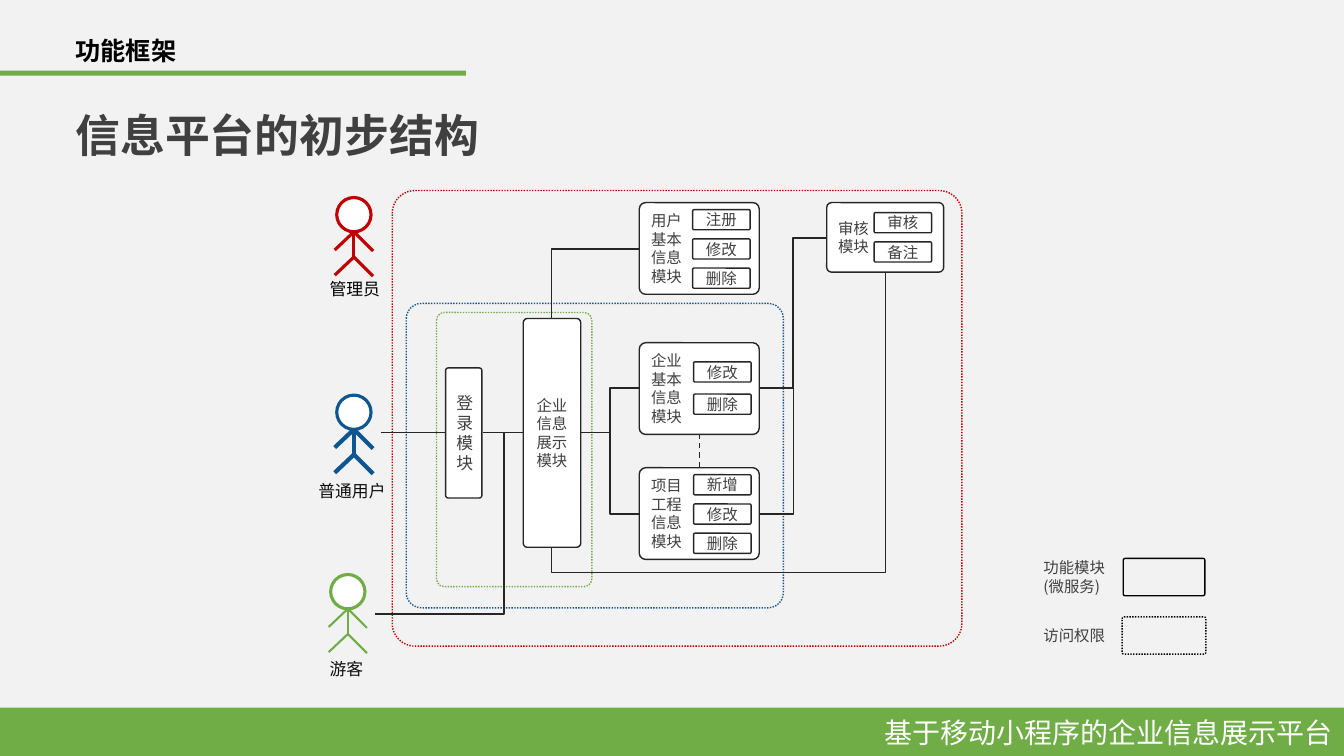
from dataclasses import dataclass

from lxml.etree import SubElement
from pptx import Presentation
from pptx.dml.color import RGBColor
from pptx.enum.dml import MSO_LINE_DASH_STYLE as Dash
from pptx.enum.shapes import MSO_CONNECTOR as Connector, MSO_SHAPE as Shape
from pptx.enum.text import MSO_ANCHOR as Anchor, PP_ALIGN as Align
from pptx.oxml.ns import qn
from pptx.util import Pt


@dataclass(frozen=True)
class Theme:
    font: str = "Noto Sans CJK SC"
    background: str = "F2F2F2"
    green: str = "70AD47"
    red: str = "C00000"
    blue: str = "0F558F"
    ink: str = "262626"
    text: str = "404040"
    label: str = "0D0D0D"
    black: str = "000000"
    white: str = "FFFFFF"
    title: int = 32
    footer: int = 20
    section: int = 18
    body: int = 12
    small: int = 11


theme = Theme()
PX = 9144


def add_box(container, kind, bounds, fill=None, line=None, width=1, dash=None, corner=None):
    shape = container.add_shape(kind, *(value * PX for value in bounds))
    shape.shadow.inherit = False
    if fill:
        shape.fill.solid()
        shape.fill.fore_color.rgb = RGBColor.from_string(fill)
    else:
        shape.fill.background()
    if line:
        shape.line.color.rgb = RGBColor.from_string(line)
        shape.line.width = Pt(width)
        shape.line.dash_style = dash
    else:
        shape.line.fill.background()
    if corner:
        shape.adjustments[0] = corner
    return shape


def write(shape, lines, size, color, align=Align.LEFT, bold=False, spacing=None):
    frame = shape.text_frame
    frame.text = "\n".join(lines)
    for paragraph in frame.paragraphs:
        paragraph.alignment = align
        paragraph.line_spacing = spacing
        font = paragraph.font
        font.size = Pt(size)
        font.bold = bold
        font.color.rgb = RGBColor.from_string(color)
        font.name = theme.font
        defaults = paragraph._p.pPr.find(qn("a:defRPr"))
        SubElement(defaults, qn("a:ea")).set("typeface", theme.font)


presentation = Presentation()
presentation.slide_width = 1333 * PX
presentation.slide_height = 750 * PX
slide = presentation.slides.add_slide(presentation.slide_layouts[6])
slide.background.fill.solid()
slide.background.fill.fore_color.rgb = RGBColor.from_string(theme.background)
shapes = slide.shapes

for bar in [(0, 70, 462, 5), (0, 702, 1333, 48)]:
    add_box(shapes, Shape.RECTANGLE, bar, theme.green)

captions = [
    ((867, 709, 467, 41), "基于移动小程序的企业信息展示平台", theme.footer, theme.white, False, 0.9, False),
    ((65, 0, 121, 62), "功能框架", theme.section, theme.black, True, 2.0, False),
    ((65, 102, 424, 64), "信息平台的初步结构", theme.title, theme.text, True, None, False),
    ((317, 272, 71, 30), "管理员", theme.body, theme.black, False, None, False),
    ((306, 472, 88, 30), "普通用户", theme.body, theme.label, False, None, False),
    ((317, 649, 54, 30), "游客", theme.body, theme.label, False, None, False),
    ((1025, 549, 87, 47), "功能模块(微服务)", theme.small, theme.text, False, None, True),
    ((1025, 616, 88, 29), "访问权限", theme.small, theme.text, False, None, True),
]
for bounds, caption, size, color, bold, spacing, wrap in captions:
    box = shapes.add_textbox(*(value * PX for value in bounds))
    box.text_frame.word_wrap = wrap
    write(box, [caption], size, color, bold=bold, spacing=spacing)

frames = [
    ((389, 189, 565, 452), theme.red, Dash.ROUND_DOT),
    ((403, 301, 374, 302), theme.blue, Dash.ROUND_DOT),
    ((433, 310, 154, 272), theme.green, Dash.ROUND_DOT),
    ((1113, 612, 83, 37), theme.black, Dash.ROUND_DOT),
    ((1114, 554, 81, 37), theme.black, None),
]
for bounds, color, dash in frames:
    add_box(shapes, Shape.ROUNDED_RECTANGLE, bounds, line=color, dash=dash, corner=0.05)

columns = [
    ((442, 365, 36, 129), "登录模块", theme.body),
    ((519, 316, 57, 227), "企业信息展示模块", theme.small),
]
for bounds, name, size in columns:
    box = add_box(shapes, Shape.ROUNDED_RECTANGLE, bounds, theme.white, theme.ink, corner=0.07)
    box.text_frame.vertical_anchor = Anchor.MIDDLE
    write(box, [name], size, theme.text, Align.CENTER)

modules = [
    ((634, 201, 119, 91), ["用户", "基本", "信息", "模块"], (687, 208, 29), ["注册", "修改", "删除"]),
    ((634, 340, 119, 91), ["企业", "基本", "信息", "模块"], (688, 359, 32), ["修改", "删除"]),
    ((634, 464, 119, 91), ["项目", "工程", "信息", "模块"], (688, 471, 29), ["新增", "修改", "删除"]),
    ((820, 201, 116, 69), ["审核", "模块"], (867, 211, 29), ["审核", "备注"]),
]
for bounds, name, (left, top, step), actions in modules:
    group = shapes.add_group_shape().shapes
    box = add_box(group, Shape.ROUNDED_RECTANGLE, bounds, theme.white, theme.ink, corner=0.07)
    box.text_frame.vertical_anchor = Anchor.MIDDLE
    write(box, name, theme.small, theme.text)
    for index, action in enumerate(actions):
        button = add_box(group, Shape.ROUNDED_RECTANGLE, (left, top + index * step, 57, 20),
                         theme.white, theme.ink, corner=0.07)
        button.text_frame.vertical_anchor = Anchor.MIDDLE
        write(button, [action], theme.small, theme.text, Align.CENTER)

wires = [
    ("line", (442, 429, 378, 429), None, 0, None),
    ("line", (519, 429, 479, 429), None, 0, None),
    ("line", (694, 464, 694, 431), None, 0, Dash.DASH),
    ("bentConnector3", (519, 429, 372, 609), 13000, 0, None),
    ("bentConnector2", (634, 247, 547, 316), None, 0, None),
    ("bentConnector3", (820, 236, 753, 385), 50000, 0, None),
    ("bentConnector3", (820, 236, 754, 510), 50000, 0, None),
    ("bentConnector3", (634, 385, 576, 429), 50000, 0, None),
    ("bentConnector3", (634, 510, 576, 429), 50000, 0, None),
    ("bentConnector3", (576, 241, 849, 572), 109200, 90, None),
]
strokes = [(shapes, *wire, theme.ink, 1) for wire in wires]

actors = [(351, 196, theme.red, 2.25), (351, 392, theme.blue, 3), (345, 570, theme.green, 1.5)]
limbs = [(0, 34, 0, 61), (0, 59, -19, 77), (0, 59, 19, 78), (0, 34, -19, 52), (0, 34, 19, 53)]
for center, top, color, width in actors:
    group = shapes.add_group_shape().shapes
    add_box(group, Shape.OVAL, (center - 17, top, 34, 34), theme.white, color, 2.25)
    for x1, y1, x2, y2 in limbs:
        limb = (center + x1, top + y1, center + x2, top + y2)
        strokes.append((group, "line", limb, None, 0, None, color, width))

for container, preset, ends, bend, rotation, dash, color, width in strokes:
    kind = Connector.STRAIGHT if preset == "line" else Connector.ELBOW
    connector = container.add_connector(kind, *(value * PX for value in ends))
    connector.line.color.rgb = RGBColor.from_string(color)
    connector.line.width = Pt(width)
    connector.line.dash_style = dash
    properties = connector._element.spPr
    SubElement(properties, qn("a:effectLst"))
    geometry = properties.find(qn("a:prstGeom"))
    geometry.set("prst", preset)
    if bend:
        guide = SubElement(geometry.find(qn("a:avLst")), qn("a:gd"))
        guide.set("name", "adj1")
        guide.set("fmla", f"val {bend}")
    if rotation:
        properties.find(qn("a:xfrm")).set("rot", str(rotation * 60000))

presentation.save("out.pptx")
